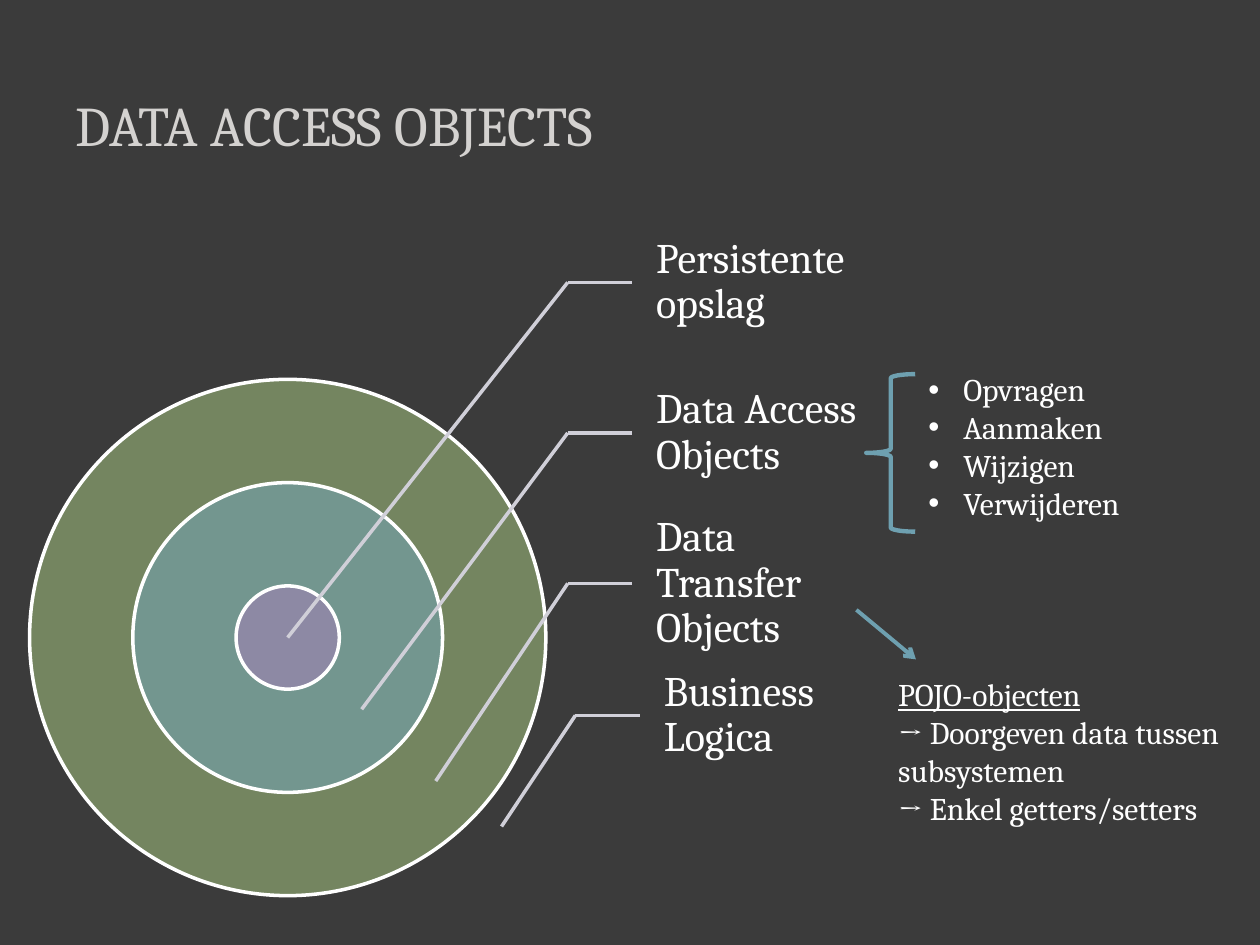
from lxml import etree
from pptx import Presentation
from pptx.dml.color import RGBColor
from pptx.enum.shapes import MSO_CONNECTOR, MSO_SHAPE
from pptx.enum.text import MSO_ANCHOR
from pptx.oxml.ns import qn
from pptx.util import Pt

STRAIGHT = MSO_CONNECTOR.STRAIGHT
OVAL = MSO_SHAPE.OVAL
LEFT_BRACE = MSO_SHAPE.LEFT_BRACE
MIDDLE, TOP = MSO_ANCHOR.MIDDLE, MSO_ANCHOR.TOP

COLORS = {name: RGBColor.from_string(value) for name, value in {
    "background": "3B3B3B", "title": "D4D2D0", "text": "FFFFFF",
    "leader": "D0CFD8", "accent": "6EA0B0",
    "outer": "748560", "middle": "73968F", "inner": "8D89A4",
}.items()}

deck = Presentation()
deck.slide_width, deck.slide_height = Pt(720), Pt(540)
page = deck.slides.add_slide(deck.slide_layouts[6])
page.background.fill.solid()
page.background.fill.fore_color.rgb = COLORS["background"]


def add_text(lines, left, top, width, height, size, color="text", anchor=TOP):
    box = page.shapes.add_textbox(Pt(left), Pt(top), Pt(width), Pt(height))
    frame = box.text_frame
    frame.word_wrap = True
    frame.vertical_anchor = anchor
    frame.text = "\n".join(lines)
    for para in frame.paragraphs:
        font = para.runs[0].font
        font.name, font.size = "Cambria", Pt(size)
        font.color.rgb = COLORS[color]
    return frame


def add_line(start, end, color, width):
    line = page.shapes.add_connector(STRAIGHT, *map(Pt, (*start, *end)))
    line.line.color.rgb = COLORS[color]
    line.line.width = Pt(width)
    etree.SubElement(line._element.spPr, qn("a:effectLst"))
    return line


# Concentric rings, each with a bent leader and a label
CENTER_X, CENTER_Y = 164.4, 364.3
CORE_RADIUS = 29.5
LABEL_HEIGHT = 86
layers = [
    # ring, radius factor, label, label left, leader y, leader tip
    ("outer", 5, "Data Transfer Objects", 361.4, 333.4, (249, 446.3)),
    ("middle", 3, "Data Access Objects", 361.4, 247.4, (206.7, 405.3)),
    ("inner", 1, "Persistente opslag", 361.4, 161.4, (CENTER_X, CENTER_Y)),
    (None, 0, "Business Logica", 365.8, 408.8, (286.6, 472.3)),
]
for ring, factor, label, left, level, tip in layers:
    if ring:
        radius = factor * CORE_RADIUS
        circle = page.shapes.add_shape(
            OVAL, Pt(CENTER_X - radius), Pt(CENTER_Y - radius), Pt(2 * radius), Pt(2 * radius))
        circle.shadow.inherit = False
        circle.fill.solid()
        circle.fill.fore_color.rgb = COLORS[ring]
        circle.line.color.rgb = COLORS["text"]
        circle.line.width = Pt(2)
    frame = add_text([label], left, level - LABEL_HEIGHT / 2, 147.6, LABEL_HEIGHT, 24,
                     anchor=MIDDLE)
    frame.margin_left = Pt(13.5)
    frame.margin_top = frame.margin_right = frame.margin_bottom = Pt(2.2)
    frame.paragraphs[0].line_spacing = 0.9
    elbow = (left - 37, level)
    add_line(elbow, (left, level), "leader", 2)
    add_line(elbow, tip, "leader", 2)

# Operations of the data access objects
brace = page.shapes.add_shape(LEFT_BRACE, Pt(495), Pt(213.8), Pt(28), Pt(90))
brace.shadow.inherit = False
brace.fill.background()
brace.line.color.rgb = COLORS["accent"]
brace.line.width = Pt(2.5)

operations = add_text(["Opvragen", "Aanmaken", "Wijzigen", "Verwijderen"],
                      523.4, 208.1, 130, 94.3, 18)
for para in operations.paragraphs:
    properties = para._p.get_or_add_pPr()
    properties.set("marL", str(Pt(20)))
    properties.set("indent", str(Pt(-20)))
    etree.SubElement(properties, qn("a:buFont"), typeface="Arial")
    etree.SubElement(properties, qn("a:buChar"), char="•")

# Explanation of the data transfer objects
pojo = add_text(["POJO-objecten", "→ Doorgeven data tussen subsystemen",
                 "→ Enkel getters/setters"], 506.2, 382.3, 213.8, 94.3, 18)
pojo.paragraphs[0].runs[0].font.underline = True
arrow = add_line((489.4, 348.5), (523.4, 376.8), "accent", 2.25)
etree.SubElement(arrow.line._get_or_add_ln(), qn("a:tailEnd"), type="arrow")

add_text(["DATA ACCESS OBJECTS"], 36, 21.6, 648, 98.6, 32, "title", MIDDLE)

deck.save("out.pptx")
